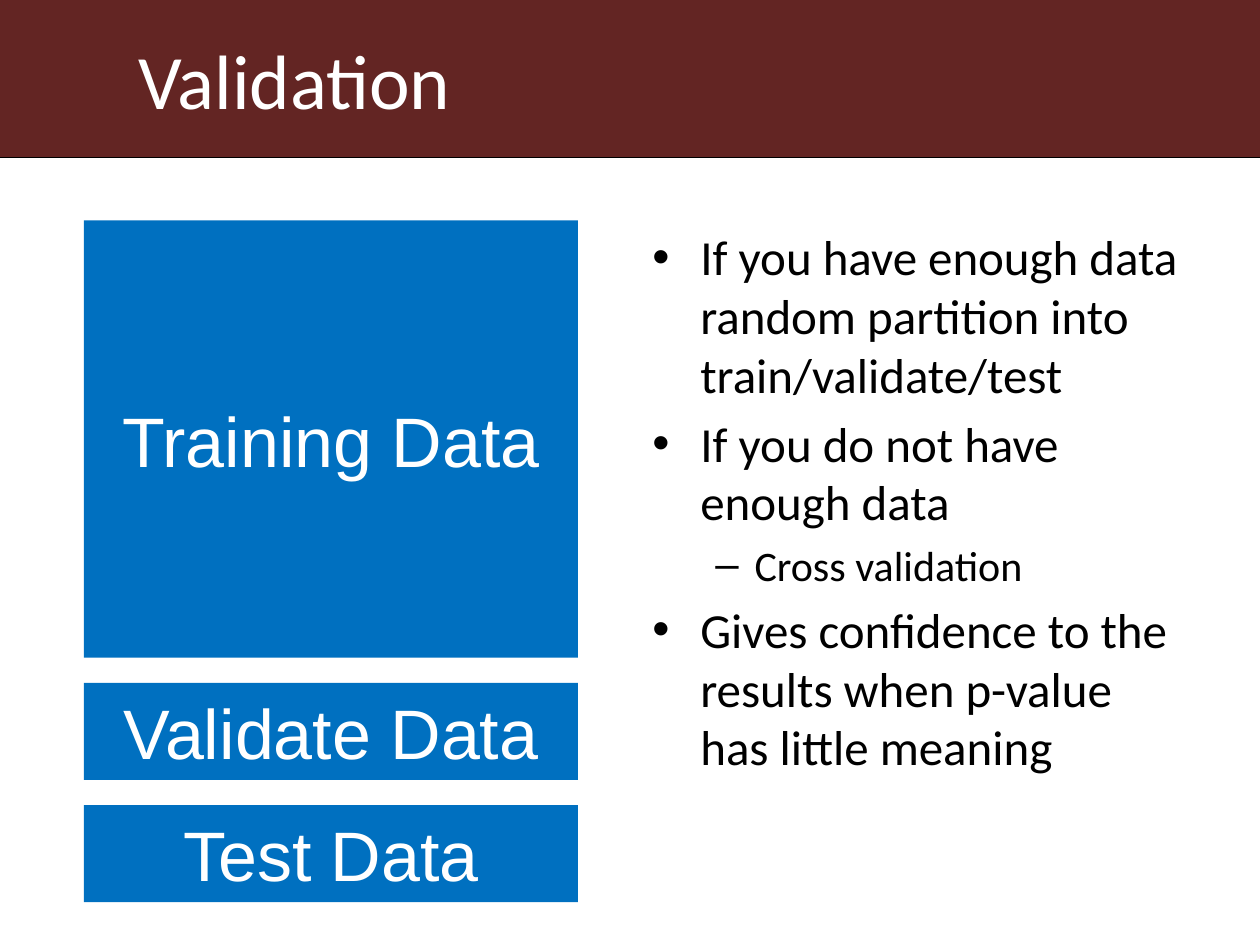
from lxml.etree import SubElement
from pptx import Presentation
from pptx.dml.color import RGBColor
from pptx.enum.shapes import MSO_CONNECTOR, MSO_SHAPE
from pptx.enum.text import MSO_ANCHOR, PP_ALIGN
from pptx.oxml.ns import qn
from pptx.util import Inches, Pt

W, H = 10, 7.5
HEADER_H = H / 6
TOP, GAP = 1.75, 0.2
COLORS = {"header": "632523", "rule": "000000", "block": "0070C0",
          "light": "FFFFFF", "text": "000000"}
BLOCKS = [("Training Data", 3.47), ("Validate Data", 0.77), ("Test Data", 0.77)]
# level: bullet, left margin, hanging indent, size
LEVELS = [("•", 0.38, 0.38, 28), ("–", 0.81, 0.31, 24)]
POINTS = [
    (0, "If you have enough data random partition into train/validate/test"),
    (0, "If you do not have enough data"),
    (1, "Cross validation"),
    (0, "Gives confidence to the results when p-value has little meaning"),
]


def rgb(name):
    return RGBColor.from_string(COLORS[name])


def add_text(p, text, size=28, font="Calibri", color="text", align=PP_ALIGN.LEFT):
    p.alignment = align
    r = p.add_run()
    r.text = text
    r.font.size = Pt(size)
    r.font.name = font
    r.font.color.rgb = rgb(color)


def add_rect(s, x, y, w, h, color):
    sp = s.shapes.add_shape(MSO_SHAPE.RECTANGLE, *map(Inches, (x, y, w, h)))
    sp.shadow.inherit = False
    sp.fill.solid()
    sp.fill.fore_color.rgb = rgb(color)
    sp.line.fill.background()
    return sp


def add_box(s, x, y, w, h, anchor=MSO_ANCHOR.TOP):
    tf = s.shapes.add_textbox(*map(Inches, (x, y, w, h))).text_frame
    tf.word_wrap = True
    tf.vertical_anchor = anchor
    return tf


def add_rule(s, y):
    line = s.shapes.add_connector(MSO_CONNECTOR.STRAIGHT, 0, Inches(y), Inches(W), Inches(y))
    line.line.color.rgb = rgb("rule")
    line.line.width = Pt(0.75)
    SubElement(line._element.spPr, qn("a:effectLst"))


def add_header(s, title):
    add_rect(s, 0, 0, W, HEADER_H, "header")
    add_rule(s, HEADER_H)
    tf = add_box(s, W / 10, 0, W * 0.9, HEADER_H, MSO_ANCHOR.MIDDLE)
    add_text(tf.paragraphs[0], title, size=44, color="light")


def add_blocks(s, x, y, w):
    for label, h in BLOCKS:
        tf = add_rect(s, x, y, w, h, "block").text_frame
        tf.word_wrap = True
        tf.vertical_anchor = MSO_ANCHOR.MIDDLE
        add_text(tf.paragraphs[0], label, size=40, font="Arial", color="light",
                 align=PP_ALIGN.CENTER)
        y += h + GAP


def add_bullets(s, x, y, w, h):
    tf = add_box(s, x, y, w, h)
    for i, (level, text) in enumerate(POINTS):
        bullet, margin, hang, size = LEVELS[level]
        p = tf.add_paragraph() if i else tf.paragraphs[0]
        p.level = level
        pPr = p._p.get_or_add_pPr()
        pPr.set("marL", str(Inches(margin)))
        pPr.set("indent", str(-Inches(hang)))
        SubElement(pPr, qn("a:buFont")).set("typeface", "Arial")
        SubElement(pPr, qn("a:buChar")).set("char", bullet)
        p.space_before = Pt(size * 0.2 if i else 0)
        add_text(p, text, size=size)


def main():
    prs = Presentation()
    prs.slide_width, prs.slide_height = Inches(W), Inches(H)
    s = prs.slides.add_slide(prs.slide_layouts[6])
    add_header(s, "Validation")
    add_bullets(s, 5.08, TOP, 4.42, 4.95)
    add_blocks(s, W / 15, TOP, 3.92)
    prs.save("out.pptx")


if __name__ == "__main__":
    main()
